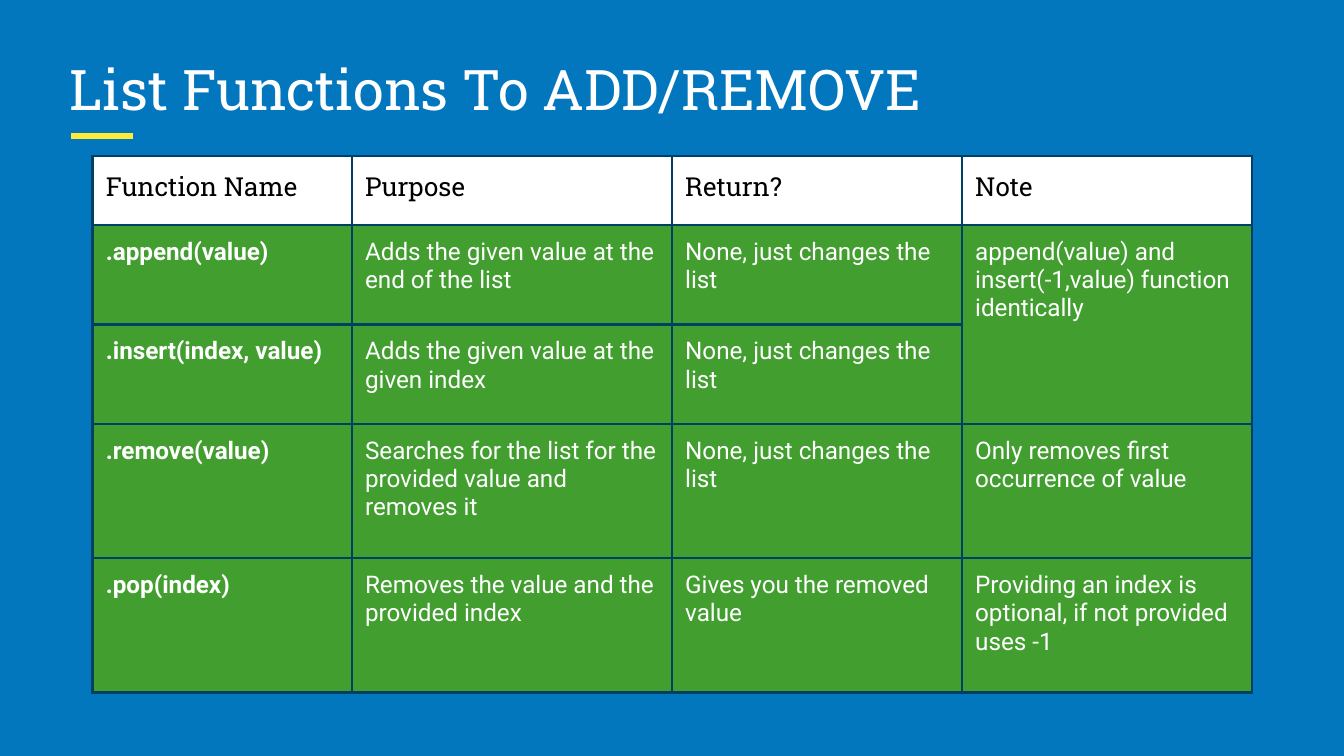
from typing import NamedTuple

from lxml import etree
from pptx import Presentation, util as u
from pptx.dml.color import RGBColor
from pptx.enum import shapes, text
from pptx.oxml import ns, parse_xml

BLUE, GREEN, NAVY, YELLOW = "0277BD", "419E2F", "004065", "FFEB38"
WHITE, BLACK = "FFFFFF", "000000"
INSET = u.Cm(0.25)


class Style(NamedTuple):
    font: str
    size: float
    color: str
    bold: bool = False


class Row(NamedTuple):
    height: float
    cells: tuple[str, ...]


TITLE = Style("Roboto Slab", 30, WHITE)
HEADER = Style("Roboto Slab", 14, BLACK)
NAME = Style("Roboto", 13, WHITE, True)
BODY = Style("Roboto", 13, WHITE)

COLUMNS = (4.9, 6.05, 5.48, 5.48)
UNCHANGED = "None, just changes the list"
ROWS = (
    Row(1.3, ("Function Name", "Purpose", "Return?", "Note")),
    Row(1.88, (".append(value)", "Adds the given value at the end of the list", UNCHANGED,
               "append(value) and insert(-1,value) function identically")),
    Row(1.88, (".insert(index, value)", "Adds the given value at the given index", UNCHANGED)),
    Row(2.54, (".remove(value)", "Searches for the list for the provided value and removes it",
               UNCHANGED, "Only removes first occurrence of value")),
    Row(2.54, (".pop(index)", "Removes the value and the provided index",
               "Gives you the removed value",
               "Providing an index is optional, if not provided uses -1")),
)


def rgb(value: str) -> RGBColor:
    return RGBColor.from_string(value)


def set_insets(box) -> None:
    box.margin_left = box.margin_right = box.margin_top = box.margin_bottom = INSET


def add_run(p, words: str, style: Style):
    r = p.add_run()
    r.text = words
    r.font.name, r.font.size, r.font.bold = style.font, u.Pt(style.size), style.bold
    r.font.color.rgb = rgb(style.color)
    return r


def add_text_shadow(r) -> None:
    fill = r.font._element.find(ns.qn("a:solidFill"))
    fill.addnext(parse_xml(
        f'<a:effectLst {ns.nsdecls("a")}>'
        '<a:outerShdw blurRad="57150" dist="19050" dir="5400000" algn="bl" rotWithShape="0">'
        '<a:srgbClr val="000000"><a:alpha val="50000"/></a:srgbClr>'
        '</a:outerShdw></a:effectLst>'))


def set_borders(cell, color: str, width: float) -> None:
    tc_pr = cell._tc.get_or_add_tcPr()
    for i, side in enumerate(("lnL", "lnR", "lnT", "lnB")):
        tc_pr.insert(i, parse_xml(
            f'<a:{side} {ns.nsdecls("a")} w="{u.Pt(width)}"><a:solidFill>'
            f'<a:srgbClr val="{color}"/></a:solidFill></a:{side}>'))


def add_title(s, words: str) -> None:
    sp = s.shapes.add_textbox(u.Cm(1.07), u.Cm(0.66), u.Cm(23.24), u.Cm(1.9))
    tf = sp.text_frame
    tf.word_wrap = True
    tf.vertical_anchor = text.MSO_ANCHOR.BOTTOM
    set_insets(tf)
    add_text_shadow(add_run(tf.paragraphs[0], words, TITLE))


def add_accent(s) -> None:
    y = u.Cm(2.57)
    line = s.shapes.add_connector(shapes.MSO_CONNECTOR.STRAIGHT, u.Cm(1.35), y, u.Cm(2.51), y)
    line.line.color.rgb, line.line.width = rgb(YELLOW), u.Pt(3)
    etree.SubElement(line._element.spPr, ns.qn("a:effectLst"))


def add_function_table(s) -> None:
    height = sum(row.height for row in ROWS)
    table = s.shapes.add_table(len(ROWS), len(COLUMNS), u.Cm(1.75), u.Cm(2.95),
                               u.Cm(sum(COLUMNS)), u.Cm(height)).table
    for column, width in zip(table.columns, COLUMNS):
        column.width = u.Cm(width)
    for i, row in enumerate(ROWS):
        table.rows[i].height = u.Cm(row.height)
        for j, cell in enumerate(table.rows[i].cells):
            set_insets(cell)
            cell.fill.solid()
            cell.fill.fore_color.rgb = rgb(GREEN if i else WHITE)
            set_borders(cell, NAVY, 1.5)
            if j < len(row.cells):
                style = HEADER if i == 0 else NAME if j == 0 else BODY
                add_run(cell.text_frame.paragraphs[0], row.cells[j], style)
    # One note covers both append and insert
    table.cell(1, 3).merge(table.cell(2, 3))


def main() -> None:
    prs = Presentation()
    prs.slide_width, prs.slide_height = u.Cm(25.4), u.Cm(14.29)
    s = prs.slides.add_slide(prs.slide_layouts[6])
    s.background.fill.solid()
    s.background.fill.fore_color.rgb = rgb(BLUE)

    # Heading
    add_accent(s)
    add_title(s, "List Functions To ADD/REMOVE")

    # Reference table
    add_function_table(s)
    prs.save("out.pptx")


if __name__ == "__main__":
    main()
